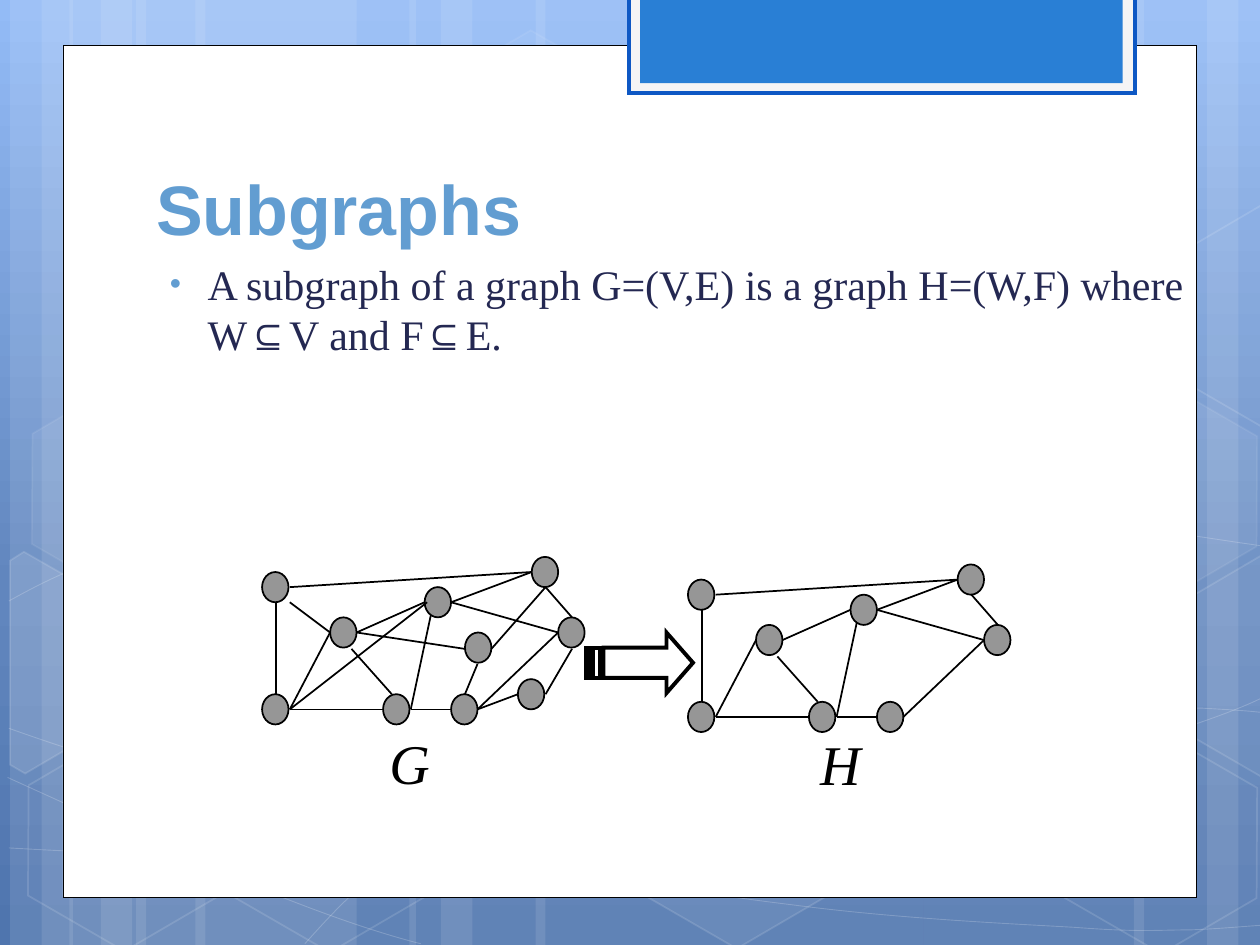
from copy import deepcopy
from dataclasses import dataclass

from pptx import Presentation
from pptx.dml.color import RGBColor
from pptx.enum.shapes import MSO_CONNECTOR, MSO_SHAPE
from pptx.enum.text import MSO_ANCHOR, PP_ALIGN
from pptx.oxml.ns import qn
from pptx.oxml.xmlchemy import OxmlElement
from pptx.util import Inches, Pt


@dataclass(frozen=True)
class Theme:
    white: str = "FFFFFF"
    black: str = "000000"
    frame: str = "F5F5F5"
    edge: str = "0E58C4"
    tab: str = "297FD5"
    title: str = "629DD1"
    body: str = "242852"
    node: str = "969696"
    sky: tuple = ((0, "93BBF6"), (0.62, "6186BE"), (1, "4F75AE"))
    sans: str = "Arial"
    serif: str = "Times New Roman"
    head: int = 40
    text: int = 24
    name: int = 32


THEME = Theme()

# Left and width of the pale bands
BANDS = [(1.08, 1.75), (0.08, 0.5), (0.33, 0.83), (1.55, 1.75), (0.55, 0.5),
         (0.8, 0.83), (7.33, 1.75), (9.58, 0.5), (9, 0.83), (4.25, 3.08),
         (3.25, 0.5), (3.5, 0.83)]

# Start point, then two handles and an end point for each arc
WAVES = [
    [(0.07, 6.73), (0.61, 6.76), (1.15, 6.79), (1.9, 6.78), (2.65, 6.77),
     (3.58, 6.75), (4.58, 6.65), (5.58, 6.55), (7, 6.36), (7.92, 6.17),
     (8.83, 5.98), (9.77, 5.68), (10.07, 5.51)],
    [(0.07, 4.77), (0.36, 4.61), (0.65, 4.46), (1.21, 4.31), (1.78, 4.16),
     (2.59, 3.94), (3.47, 3.87), (4.36, 3.8), (5.44, 3.79), (6.54, 3.87),
     (7.64, 3.95), (9.47, 4.26), (10.07, 4.34)],
    [(0.06, 6.17), (1.27, 6.72), (2.47, 7.27), (3.34, 7.49)],
    [(0.07, 5.78), (0.38, 5.89), (0.7, 6), (1.28, 6.16), (1.86, 6.31),
     (2.73, 6.56), (3.57, 6.73), (4.4, 6.9), (5.45, 7.08), (6.28, 7.18),
     (7.11, 7.29), (8, 7.33), (8.53, 7.36), (9.05, 7.4), (9.19, 7.38),
     (9.45, 7.38), (9.71, 7.37), (9.89, 7.35), (10.07, 7.34)],
    [(2.42, 7.49), (2.6, 7.29), (2.78, 7.09), (3.02, 6.91), (3.26, 6.73),
     (3.6, 6.53), (3.88, 6.39), (4.16, 6.25), (4.33, 6.19), (4.7, 6.09),
     (5.06, 5.99), (5.73, 5.85), (6.08, 5.78), (6.44, 5.71), (6.49, 5.71),
     (6.8, 5.69), (7.11, 5.66), (7.6, 5.63), (7.94, 5.62), (8.29, 5.61),
     (8.86, 5.62), (8.86, 5.62), (8.86, 5.62), (9.53, 5.62), (9.53, 5.62),
     (9.71, 5.63), (9.88, 5.64), (9.97, 5.65), (10.06, 5.66), (10.03, 5.65),
     (10.06, 5.66)],
]

# Left, top, fill opacity, line opacity
CELLS = [(3.34, 0.36, 4, 8), (4.97, 5.89, 6, 12), (0.11, 5.91, 0, 12),
         (0.14, 3.12, 7, 8), (1.74, 5.92, 0, 12), (7.53, 4.53, 10, 12),
         (8.34, 5.93, 0, 12), (8.34, 3.14, 7, 8)]

# Cells cut by the slide's sides: outline and fill opacity
CUTS = [
    ([(0.08, 4.45), (0.19, 4.38), (0.96, 4.82), (0.95, 5.7), (0.2, 6.14), (0.08, 6.07)], 10),
    ([(9.26, 4.85), (10.01, 4.41), (10.09, 4.46), (10.09, 6.13), (10.02, 6.17), (9.26, 5.73)], 4),
    ([(9.26, 2.07), (10.01, 1.63), (10.1, 1.68), (10.09, 3.35), (10.02, 3.39), (9.26, 2.95)], 0),
]

# Graph G; H keeps NODES and EDGES and sits at SHIFT
NODES = [(2.08, 4.54), (2.08, 5.51), (3.04, 5.51), (3.37, 4.66),
         (4.22, 4.42), (2.62, 4.9), (3.58, 5.51), (4.43, 4.9)]
MORE_NODES = [(4.11, 5.39), (3.69, 5.02)]
EDGES = [(2.3, 4.66, 4.22, 4.54), (2.3, 5.63, 2.62, 5.02), (2.83, 5.02, 3.37, 4.78),
         (2.3, 5.63, 3.04, 5.63), (2.19, 5.51, 2.19, 4.78), (3.79, 5.63, 4.43, 5.02),
         (3.26, 5.63, 3.42, 4.88), (3.58, 4.78, 4.43, 5.02), (3.58, 4.78, 4.22, 4.54),
         (2.79, 5.15, 3.11, 5.51), (3.26, 5.63, 3.58, 5.63), (4.54, 4.9, 4.33, 4.66)]
MORE_EDGES = [(2.3, 4.78, 2.62, 5.02), (2.83, 5.02, 3.69, 5.15), (3.79, 5.63, 4.11, 5.51),
              (3.69, 5.51, 3.79, 5.27), (3.9, 5.15, 4.33, 4.66), (4.33, 5.51, 4.54, 5.15),
              (2.3, 5.63, 3.39, 4.78)]
SHIFT = (3.38, 0.06)

ARROW = [
    [(5.29, 5.02), (5.29, 5.14), (4.79, 5.14), (4.79, 5.38), (5.29, 5.38), (5.29, 5.5), (5.5, 5.26)],
    [(4.71, 5.14), (4.71, 5.38), (4.76, 5.38), (4.76, 5.14)],
    [(4.65, 5.14), (4.65, 5.38), (4.68, 5.38), (4.68, 5.14)],
]


def put(item, **vals):
    for key, val in vals.items():
        setattr(item, key, val)


def add_tag(host, tag, **vals):
    item = OxmlElement(tag)
    for key, val in vals.items():
        item.set(key, val)
    host.append(item)
    return item


def fade(shape, route, share):
    for tint in shape._element.spPr.findall(route + "/" + qn("a:srgbClr")):
        add_tag(tint, "a:alpha", val=str(share * 1000))


def paint(shape, fill=None, line=None, width=1, fill_pct=100, line_pct=100):
    shape.shadow.inherit = False
    for part, tint in ((shape.fill, fill), (shape.line.fill, line)):
        if tint:
            part.solid()
            part.fore_color.rgb = RGBColor.from_string(tint)
        else:
            part.background()
    if line:
        shape.line.width = Pt(width)
        add_tag(shape._element.spPr.find(qn("a:ln")), "a:miter", lim="800000")
    solid = qn("a:solidFill")
    if fill_pct < 100:
        fade(shape, solid, fill_pct)
    if line_pct < 100:
        fade(shape, qn("a:ln") + "/" + solid, line_pct)


def add_form(slide, kind, box, **look):
    shape = slide.shapes.add_shape(kind, *map(Inches, box))
    paint(shape, **look)
    return shape


def add_path(slide, rings, close=True, **look):
    rings = [[(Inches(x), Inches(y)) for x, y in ring] for ring in rings]
    pen = slide.shapes.build_freeform(*rings[0][0])
    for num, ring in enumerate(rings):
        if num:
            pen.move_to(*ring[0])
        pen.add_line_segments(ring[1:], close=close)
    shape = pen.convert_to_shape()
    paint(shape, **look)
    return shape


def bend(shape):
    """Join every three line steps into one cubic arc."""
    steps = list(shape._element.iter(qn("a:lnTo")))
    for num in range(0, len(steps), 3):
        arc = OxmlElement("a:cubicBezTo")
        steps[num].addprevious(arc)
        for step in steps[num:num + 3]:
            arc.append(step[0])
            step.getparent().remove(step)


def add_edge(slide, ends):
    line = slide.shapes.add_connector(MSO_CONNECTOR.STRAIGHT, *map(Inches, ends))
    line.line.color.rgb = RGBColor.from_string(THEME.black)
    line.line.width = Pt(1)
    add_tag(line._element.spPr, "a:effectLst")


def add_text(slide, box, text, size, face, tint, anchor, bullet=False, align=PP_ALIGN.LEFT, **style):
    frame = slide.shapes.add_textbox(*map(Inches, box)).text_frame
    put(frame, word_wrap=True, vertical_anchor=anchor)
    para = frame.paragraphs[0]
    para.alignment = align
    if bullet:
        add_bullet(para)
    run = para.add_run()
    run.text = text
    put(run.font, size=Pt(size), name=face, **style)
    run.font.color.rgb = RGBColor.from_string(tint)


def add_bullet(para):
    props = para._p.get_or_add_pPr()
    props.set("marL", str(Inches(0.38)))
    props.set("indent", str(Inches(-0.3)))
    add_tag(add_tag(props, "a:buClr"), "a:srgbClr", val=THEME.title)
    add_tag(props, "a:buSzPct", val="76000")
    add_tag(props, "a:buFont", typeface=THEME.sans)
    add_tag(props, "a:buChar", char="•")


def add_sky(slide):
    fill = slide.background.fill
    fill.gradient()
    fill.gradient_angle = 270
    last = fill.gradient_stops[1]._gs
    last.addnext(deepcopy(last))
    for stop, (place, tint) in zip(fill.gradient_stops, THEME.sky):
        stop.position = place
        stop.color.rgb = RGBColor.from_string(tint)


def add_scene(slide):
    white = THEME.white
    for left, width in BANDS:
        add_form(slide, MSO_SHAPE.RECTANGLE, (left, 0, width, 7.5), fill=white, fill_pct=10)
    for knots in WAVES:
        bend(add_path(slide, [knots], close=False, line=white, width=0.5, line_pct=20))
    for left, top, inner, outer in CELLS:
        cell = add_form(slide, MSO_SHAPE.HEXAGON, (left, top, 1.75, 1.52), fill=white if inner else None,
                        fill_pct=inner, line=white, line_pct=outer)
        cell.rotation = 30
        cell.adjustments[0], cell.adjustments[1] = 0.285, 1.155
    for ring, inner in CUTS:
        add_path(slide, [ring], fill=white if inner else None, fill_pct=inner, line=white, line_pct=12)


def add_panel(slide):
    for box, look in (((0.5, 0.36, 9, 6.76), dict(fill=THEME.white, line=THEME.black, width=0.5)),
                      ((4.99, -0.02, 4.02, 0.76), dict(fill=THEME.frame, line=THEME.edge, width=2)),
                      ((5.08, -0.02, 3.83, 0.68), dict(fill=THEME.tab))):
        add_form(slide, MSO_SHAPE.RECTANGLE, box, **look)


def add_graph(slide, nodes, edges, shift=(0, 0)):
    dx, dy = shift
    for x, y in nodes:
        add_form(slide, MSO_SHAPE.OVAL, (x + dx, y + dy, 0.21, 0.24), fill=THEME.node, line=THEME.black)
    for x1, y1, x2, y2 in edges:
        add_edge(slide, (x1 + dx, y1 + dy, x2 + dx, y2 + dy))


def main():
    deck = Presentation()
    put(deck, slide_width=Inches(10), slide_height=Inches(7.5))
    slide = deck.slides.add_slide(deck.slide_layouts[6])
    # Backdrop and white panel
    for draw in (add_sky, add_scene, add_panel):
        draw(slide)
    # Title and definition
    add_text(slide, (1.14, 1.12, 7.68, 0.91), "Subgraphs", THEME.head, THEME.sans, THEME.title,
             MSO_ANCHOR.BOTTOM, bold=True)
    add_text(slide, (1.17, 2, 8.5, 1.92),
             "A subgraph of a graph G=(V,E) is a graph H=(W,F) where W⊆V and F⊆E.",
             THEME.text, THEME.serif, THEME.body, MSO_ANCHOR.TOP, bullet=True)
    # Graph, arrow and subgraph
    add_graph(slide, NODES + MORE_NODES, EDGES + MORE_EDGES)
    add_graph(slide, NODES, EDGES, SHIFT)
    add_path(slide, ARROW, line=THEME.black, width=2.25)
    for name, left, top in (("G", 2.99, 5.73), ("H", 6.41, 5.74)):
        add_text(slide, (left, top, 0.52, 0.63), name, THEME.name, THEME.serif, THEME.black,
                 MSO_ANCHOR.MIDDLE, align=PP_ALIGN.CENTER, italic=True)
    deck.save("out.pptx")


if __name__ == "__main__":
    main()
